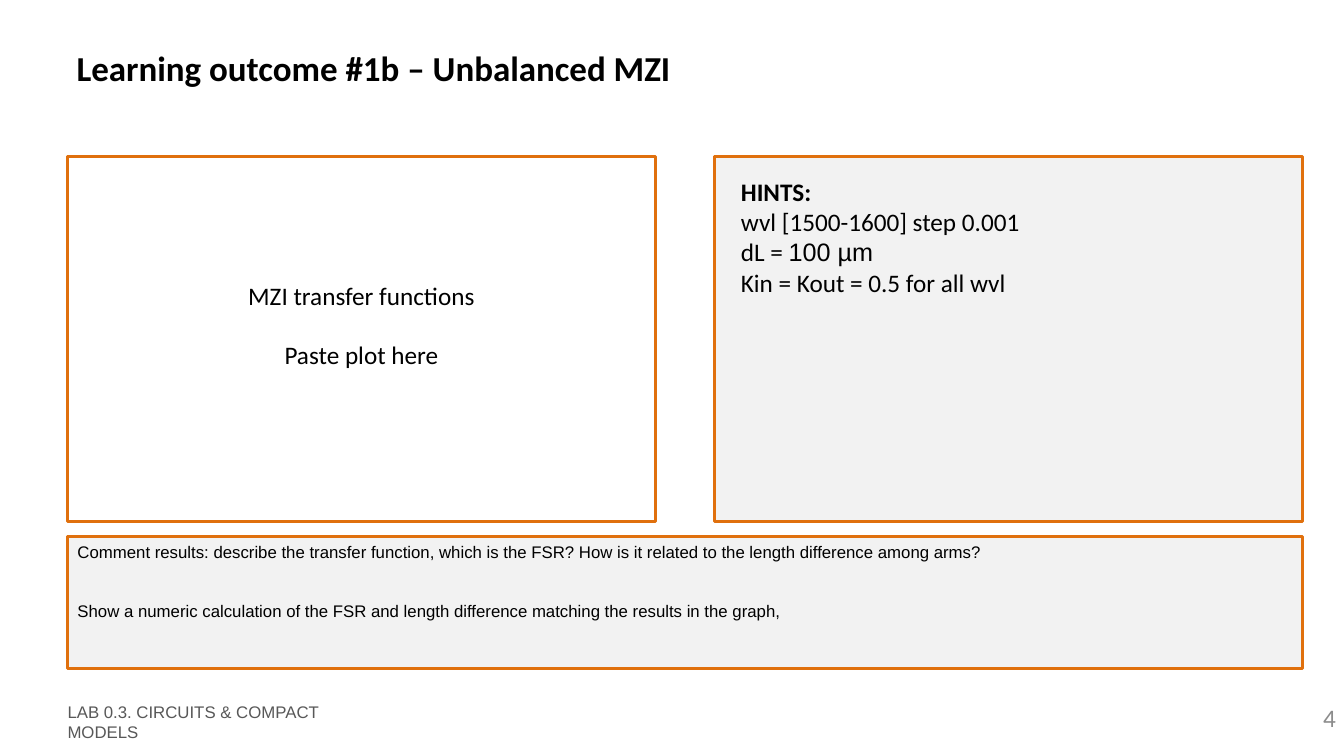
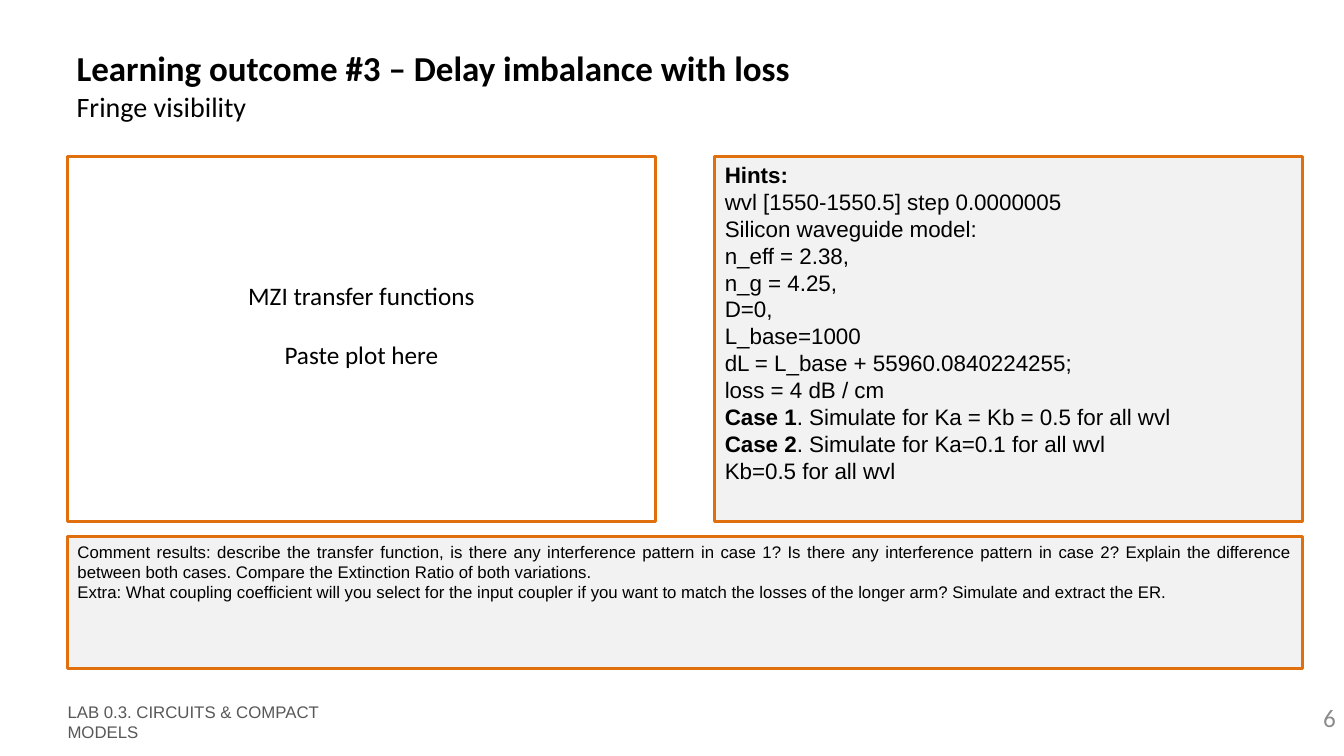
from dataclasses import dataclass

from pptx import Presentation
from pptx.dml.color import RGBColor
from pptx.enum.shapes import MSO_SHAPE
from pptx.enum.text import MSO_ANCHOR as Anchor, MSO_AUTO_SIZE as AutoSize, PP_ALIGN as Align
from pptx.util import Inches, Pt


@dataclass(frozen=True)
class Theme:
    black: RGBColor = RGBColor.from_string("000000")
    orange: RGBColor = RGBColor.from_string("E0700D")
    panel: RGBColor = RGBColor.from_string("F2F2F2")
    footer: RGBColor = RGBColor.from_string("585858")
    number: RGBColor = RGBColor.from_string("8C8C8C")
    heading_font: str = "Calibri"
    body_font: str = "Arial"
    title_size: int = 25
    subtitle_size: int = 20
    text_size: int = 18
    hint_size: int = 16
    small_size: int = 12
    border: float = 2.25


THEME = Theme()
BLANK_LAYOUT = 6
LEFT, TOP = 0.67, 1.55
PANEL_WIDTH, PANEL_HEIGHT = 5.83, 3.62
FULL_WIDTH = 12.25
RIGHT = LEFT + FULL_WIDTH - PANEL_WIDTH
PLOT_AREA = (LEFT, TOP, PANEL_WIDTH, PANEL_HEIGHT)
HINT_AREA = (RIGHT, TOP, PANEL_WIDTH, PANEL_HEIGHT)
COMMENT_AREA = (LEFT, 5.32, FULL_WIDTH, 1.31)
DEFAULT_INSETS = (0.1, 0.05, 0.1, 0.05)
NO_INSETS = (0, 0, 0, 0)

TEXT = {"name": THEME.heading_font, "size": THEME.text_size, "color": THEME.black}
HINT = {**TEXT, "name": THEME.body_font, "size": THEME.hint_size}
SMALL = {**HINT, "size": THEME.small_size}
TITLE = {**TEXT, "size": THEME.title_size, "bold": True}
SUBTITLE = {**TEXT, "size": THEME.subtitle_size, "bold": False}
FOOTER = {**SMALL, "color": THEME.footer}
NUMBER = {**TEXT, "color": THEME.number}
BOLD = {"bold": True}


class LabDeck:
    def __init__(self):
        self.presentation = Presentation()
        self.presentation.slide_width = Inches(13.33)
        self.presentation.slide_height = Inches(7.5)
        self.slide = None

    def add_slide(self, number, title, subtitle=None):
        layout = self.presentation.slide_layouts[BLANK_LAYOUT]
        self.slide = self.presentation.slides.add_slide(layout)
        lines = [[(title, TITLE)]]
        if subtitle:
            lines.append([(subtitle, SUBTITLE)])
        self.text((0.75, 0.45, 12.02, 0.86), lines, TITLE, space_before=1,
                  insets=(0.01, 0.01, 0, 0))
        footer = self.text((LEFT, 7.06, 3, 0.2), ["LAB 0.3. CIRCUITS & COMPACT MODELS"],
                           FOOTER, insets=NO_INSETS, anchor=Anchor.MIDDLE)
        footer.text_frame.auto_size = AutoSize.SHAPE_TO_FIT_TEXT
        self.text((10.18, 6.97, 3.07, 0.38), [str(number)], NUMBER,
                  align=Align.RIGHT, insets=NO_INSETS)

    def panel(self, area, fill=THEME.panel):
        shape = self.slide.shapes.add_shape(MSO_SHAPE.RECTANGLE, *map(Inches, area))
        shape.shadow.inherit = False
        if fill is None:
            shape.fill.background()
        else:
            shape.fill.solid()
            shape.fill.fore_color.rgb = fill
        shape.line.color.rgb = THEME.orange
        shape.line.width = Pt(THEME.border)
        return shape

    def text(self, area, lines, style, **layout):
        box = self.slide.shapes.add_textbox(*map(Inches, area))
        self.fill_text(box, lines, style, **layout)
        return box

    def fill_text(self, shape, lines, style, align=Align.LEFT, space_before=0,
                  gap=0, insets=DEFAULT_INSETS, anchor=Anchor.TOP):
        """Each line is a string or a list of (text, style changes); gap is put between lines."""
        frame = shape.text_frame
        frame.word_wrap = True
        frame.vertical_anchor = anchor
        for side, inset in zip(("left", "top", "right", "bottom"), insets):
            setattr(frame, f"margin_{side}", Inches(inset))
        for index, line in enumerate(lines):
            paragraph = frame.add_paragraph() if index else frame.paragraphs[0]
            paragraph.alignment = align
            paragraph.space_before = Pt(space_before + (gap if index else 0))
            for content, changes in [(line, {})] if isinstance(line, str) else line:
                run = paragraph.add_run()
                run.text = content
                self.format_font(run.font, {**style, **changes})

    def format_font(self, font, style):
        values = {"bold": False, **style}
        font.color.rgb = values.pop("color")
        values["size"] = Pt(values["size"])
        for attribute, value in values.items():
            setattr(font, attribute, value)

    def plot_panel(self):
        self.panel(PLOT_AREA, fill=None)
        self.text((1.85, 2.73, 3.47, 1.26), ["MZI transfer functions", "Paste plot here"],
                  TEXT, align=Align.CENTER, gap=21)

    def comment_panel(self, lines, gap=0):
        self.fill_text(self.panel(COMMENT_AREA), lines, SMALL, align=Align.JUSTIFY, gap=gap)


def add_unbalanced_mzi(deck):
    deck.add_slide(4, "Learning outcome #1b – Unbalanced MZI")
    deck.plot_panel()
    deck.panel(HINT_AREA)
    deck.text((7.25, 1.7, 5.52, 3.17), [
        [("HINTS:", BOLD)],
        "wvl [1500-1600] step 0.001",
        [("dL = ", {}), ("100 µm", {"name": THEME.body_font})],
        "Kin = Kout = 0.5 for all wvl",
    ], TEXT, align=Align.JUSTIFY)
    deck.comment_panel([
        "Comment results: describe the transfer function, which is the FSR? "
        "How is it related to the length difference among arms?",
        "Show a numeric calculation of the FSR and length difference "
        "matching the results in the graph,",
    ], gap=28)


def add_delay_imbalance(deck):
    deck.add_slide(6, "Learning outcome #3 – Delay imbalance with loss", "Fringe visibility")
    deck.plot_panel()
    deck.fill_text(deck.panel(HINT_AREA), [
        [("Hints:", BOLD)],
        "wvl [1550-1550.5] step 0.0000005",
        "Silicon waveguide model:",
        "n_eff = 2.38,",
        "n_g = 4.25,",
        "D=0,",
        "L_base=1000",
        "dL = L_base + 55960.0840224255;",
        "loss = 4 dB / cm",
        [("Case 1", BOLD), (". Simulate for Ka = Kb = 0.5 for all wvl", {})],
        [("Case 2", BOLD), (". Simulate for Ka=0.1 for all wvl", {})],
        "Kb=0.5 for all wvl",
    ], HINT, align=Align.JUSTIFY)
    deck.comment_panel([
        "Comment results: describe the transfer function, is there any interference pattern "
        "in case 1? Is there any interference pattern in case 2? Explain the difference "
        "between both cases. Compare the Extinction Ratio of both variations.",
        "Extra: What coupling coefficient will you select for the input coupler if you want "
        "to match the losses of the longer arm? Simulate and extract the ER.",
    ])


def main():
    deck = LabDeck()
    add_unbalanced_mzi(deck)
    add_delay_imbalance(deck)
    deck.presentation.save("out.pptx")


if __name__ == "__main__":
    main()
